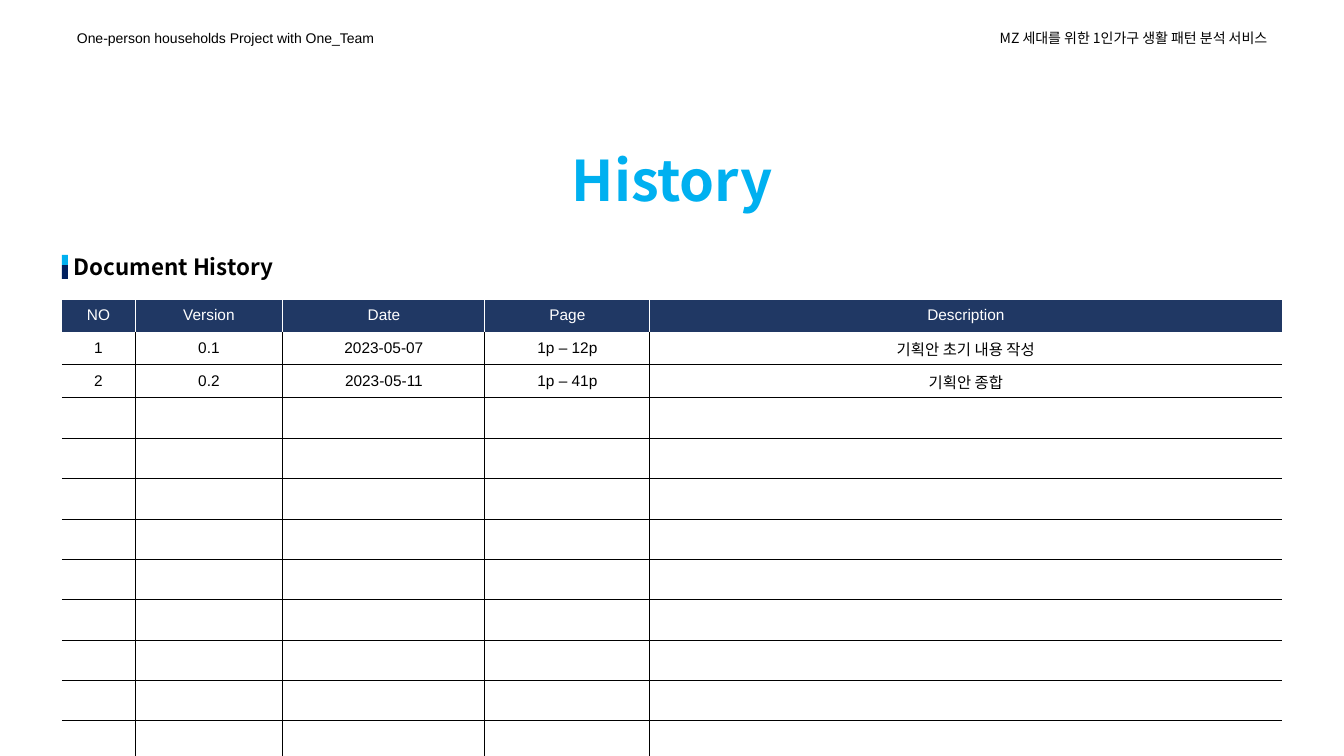
import pptx
import pptx.dml.color
import pptx.enum.shapes
import pptx.enum.text
import pptx.oxml
import pptx.oxml.ns
import pptx.util

EMU_PER_PX = 12192000 / 1344
COLORS = {
    "black": "000000",
    "white": "FFFFFF",
    "sky": "00B0F0",
    "navy": "002060",
    "header": "203864",
}
SANS, KOREAN = "Arial", "Noto Sans CJK KR"
ALIGN = pptx.enum.text.PP_ALIGN
MIDDLE = pptx.enum.text.MSO_ANCHOR.MIDDLE

COLUMN_WIDTHS = [73, 148, 202, 165, 632]
ROW_COUNT = 12
ROW_HEIGHT = 33
ENTRIES = [
    ["NO", "Version", "Date", "Page", "Description"],
    ["1", "0.1", "2023-05-07", "1p – 12p", "기획안 초기 내용 작성"],
    ["2", "0.2", "2023-05-11", "1p – 41p", "기획안 종합"],
]


def px(length):
    return pptx.util.Emu(round(length * EMU_PER_PX))


def rgb(name):
    return pptx.dml.color.RGBColor.from_string(COLORS[name])


def write(frame, text, size, color, font, align, bold=False):
    frame.text = text
    para = frame.paragraphs[0]
    para.alignment = align
    for span in para.runs:
        span.font.size = pptx.util.Pt(size)
        span.font.bold = bold
        span.font.color.rgb = rgb(color)
        span.font.name = font
        east_asian = pptx.oxml.parse_xml(
            f'<a:ea {pptx.oxml.ns.nsdecls("a")} typeface="{KOREAN}"/>')
        span.font._element.find(pptx.oxml.ns.qn("a:latin")).addnext(east_asian)


def add_label(shapes, box, text, size, color, font, align=ALIGN.LEFT, bold=False):
    label = shapes.add_textbox(*map(px, box))
    frame = label.text_frame
    frame.word_wrap = True
    frame.auto_size = pptx.enum.text.MSO_AUTO_SIZE.SHAPE_TO_FIT_TEXT
    frame.vertical_anchor = MIDDLE
    write(frame, text, size, color, font, align, bold)


def add_page_header(page, left, top, width, height):
    label_width = 361
    add_label(page.shapes, (left + width - label_width, top, label_width, height),
              "MZ 세대를 위한 1인가구 생활 패턴 분석 서비스", 10, "black", KOREAN, ALIGN.RIGHT)
    add_label(page.shapes, (left, top, label_width, height),
              "One-person households Project with One_Team", 10, "black", SANS)


def add_section_heading(page, left, top, width, height):
    """Add the section name behind a two-colour marker."""
    group = page.shapes.add_group_shape()
    bar_top = top + 7
    for color, bar_height in (("sky", 10), ("navy", 14)):
        bar = group.shapes.add_shape(
            pptx.enum.shapes.MSO_SHAPE.RECTANGLE,
            px(left), px(bar_top), px(6), px(bar_height))
        bar.shadow.inherit = False
        bar.fill.solid()
        bar.fill.fore_color.rgb = rgb(color)
        bar.line.fill.background()
        bar_top += bar_height
    add_label(group.shapes, (left + 2, top, width, height),
              "Document History", 16, "black", KOREAN, bold=True)


def add_border(cell, side, color, points):
    """Draw one cell edge, or hide it when color is None."""
    paint = "<a:noFill/>"
    if color:
        paint = f'<a:solidFill><a:srgbClr val="{COLORS[color]}"/></a:solidFill>'
    cell._tc.get_or_add_tcPr().append(pptx.oxml.parse_xml(
        f'<a:ln{side} {pptx.oxml.ns.nsdecls("a")} w="{pptx.util.Pt(points)}">'
        f'{paint}</a:ln{side}>'))


def style_cell(cell, row, column):
    is_header = row == 0
    line = "white" if is_header else "black"
    last_row = row == ROW_COUNT - 1
    add_border(cell, "L", line if column > 0 else None, 0.75)
    add_border(cell, "R", line if column < len(COLUMN_WIDTHS) - 1 else None, 0.75)
    add_border(cell, "T", "white" if row <= 1 else "black", 0.75)
    add_border(cell, "B", line, 1.5 if last_row else 0.75)
    cell.fill.solid()
    cell.fill.fore_color.rgb = rgb("header" if is_header else "white")
    cell.vertical_anchor = MIDDLE


def add_history_table(page, left, top):
    table = page.shapes.add_table(
        ROW_COUNT, len(COLUMN_WIDTHS), px(left), px(top),
        px(sum(COLUMN_WIDTHS)), px(ROW_COUNT * ROW_HEIGHT)).table
    table.horz_banding = False
    table.first_row = False
    for column, width in zip(table.columns, COLUMN_WIDTHS):
        column.width = px(width)
    for row in range(ROW_COUNT):
        table.rows[row].height = px(ROW_HEIGHT)
        for column in range(len(COLUMN_WIDTHS)):
            cell = table.cell(row, column)
            style_cell(cell, row, column)
            if row < len(ENTRIES):
                write(cell.text_frame, ENTRIES[row][column], 11,
                      "white" if row == 0 else "black", SANS, ALIGN.CENTER)


def main():
    deck = pptx.Presentation()
    deck.slide_width, deck.slide_height = px(1344), px(756)
    page = deck.slides.add_slide(deck.slide_layouts[6])
    add_page_header(page, 67, 24, 1210, 27)
    add_history_table(page, 62, 299)
    add_section_heading(page, 62, 248, 400, 37)
    add_label(page.shapes, (514, 140, 316, 78), "History", 40, "sky", KOREAN,
              ALIGN.CENTER, bold=True)
    deck.save("out.pptx")


if __name__ == "__main__":
    main()
